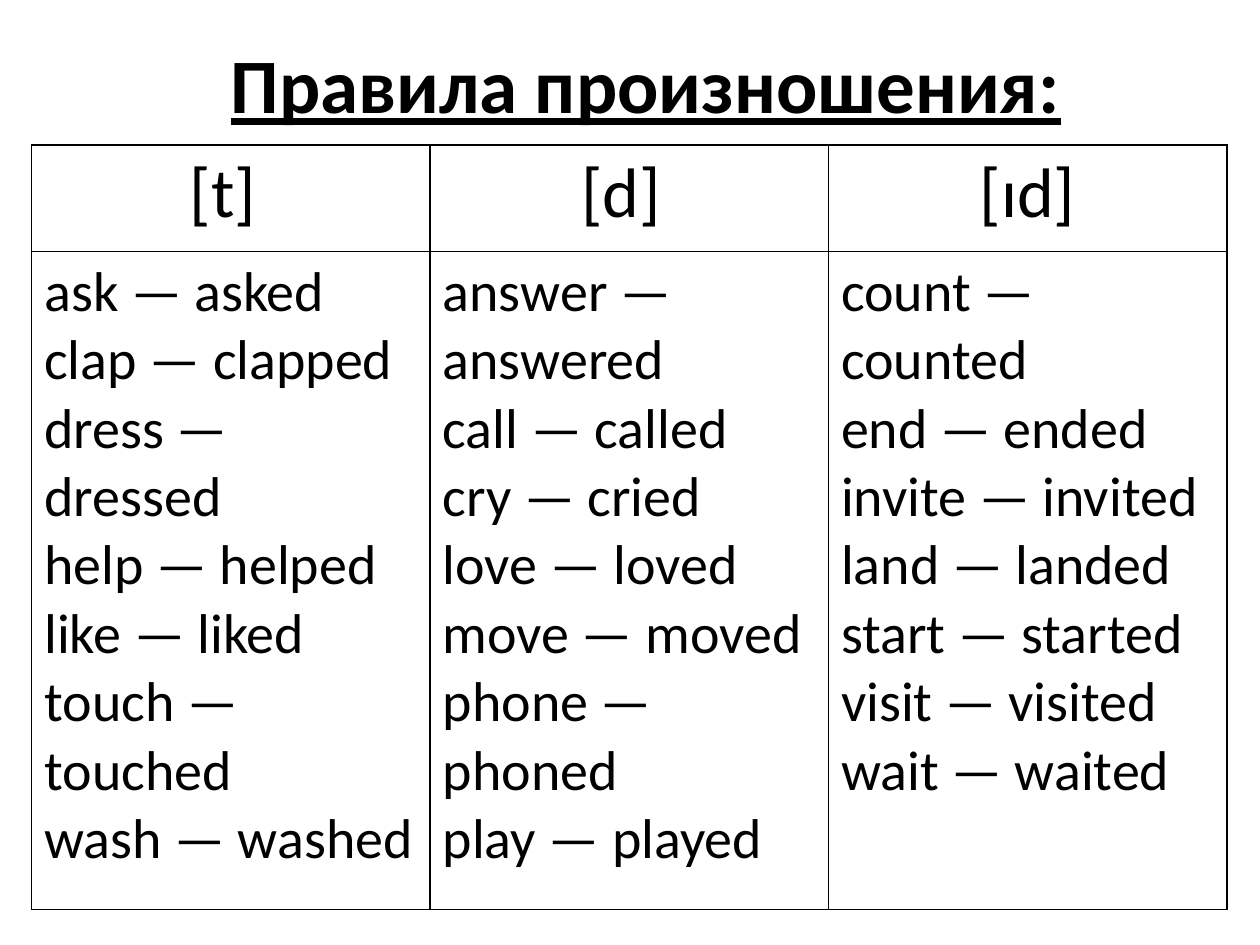
from lxml import etree
from pptx import Presentation
from pptx.dml.color import RGBColor
from pptx.enum import text
from pptx.oxml import ns
from pptx.util import Cm, Pt

BLACK = RGBColor(0, 0, 0)
FONT = "Calibri"
SOUNDS = {
    "[t] ": [
        "ask — asked", "clap — clapped", "dress — dressed", "help — helped",
        "like — liked", "touch — touched", "wash — washed",
    ],
    "[d] ": [
        "answer — answered", "call — called", "cry — cried", "love — loved",
        "move — moved", "phone — phoned", "play — played",
    ],
    "[ɪd]": [
        "count — counted", "end — ended", "invite — invited", "land — landed",
        "start — started", "visit — visited", "wait — waited",
    ],
}


def write(frame, words, *, size, align=text.PP_ALIGN.LEFT, bold=False,
          underline=False, spacing=1.0, indent=0):
    frame.word_wrap = True
    paragraph = frame.paragraphs[0]
    paragraph.text = words
    paragraph.alignment = align
    paragraph.line_spacing = spacing
    properties = paragraph._p.get_or_add_pPr()
    properties.set("marL", str(int(indent)))
    properties.set("indent", "0")
    for run in paragraph.runs:
        run.font.name = FONT
        run.font.size = Pt(size)
        run.font.bold = bold
        run.font.underline = underline
        run.font.color.rgb = BLACK


def add_borders(cell):
    properties = cell._tc.get_or_add_tcPr()
    for position, side in enumerate(("lnL", "lnR", "lnT", "lnB")):
        line = etree.Element(ns.qn(f"a:{side}"), w=str(Pt(1)))
        fill = etree.SubElement(line, ns.qn("a:solidFill"))
        etree.SubElement(fill, ns.qn("a:srgbClr"), val=str(BLACK))
        properties.insert(position, line)


def add_title(slide, words):
    title = slide.shapes.title
    title.left, title.top = Cm(0.3), Cm(0.33)
    title.width, title.height = Cm(24.8), Cm(2.29)
    frame = title.text_frame
    frame.vertical_anchor = text.MSO_ANCHOR.TOP
    frame.auto_size = text.MSO_AUTO_SIZE.SHAPE_TO_FIT_TEXT
    write(frame, words, size=44, align=text.PP_ALIGN.CENTER, bold=True,
          underline=True, spacing=1.15, indent=Cm(0.64))


def add_sound_table(slide, sounds):
    column_width, heading_height, verbs_height = Cm(8.03), Cm(2.15), Cm(13.26)
    table = slide.shapes.add_table(
        2, len(sounds), Cm(0.64), Cm(2.92),
        column_width * len(sounds), heading_height + verbs_height,
    ).table
    table.first_row = table.horz_banding = False
    table.rows[0].height = heading_height
    table.rows[1].height = verbs_height
    for column, (sound, verbs) in enumerate(sounds.items()):
        table.columns[column].width = column_width
        write(table.cell(0, column).text_frame, sound, size=40,
              align=text.PP_ALIGN.CENTER)
        write(table.cell(1, column).text_frame, "\v".join(verbs), size=32)
    for cell in table.iter_cells():
        cell.fill.background()
        add_borders(cell)


def main():
    deck = Presentation()
    deck.slide_width, deck.slide_height = Cm(25.4), Cm(19.05)
    slide = deck.slides.add_slide(deck.slide_layouts[5])
    add_title(slide, "Правила произношения:")
    add_sound_table(slide, SOUNDS)
    deck.save("out.pptx")


if __name__ == "__main__":
    main()
